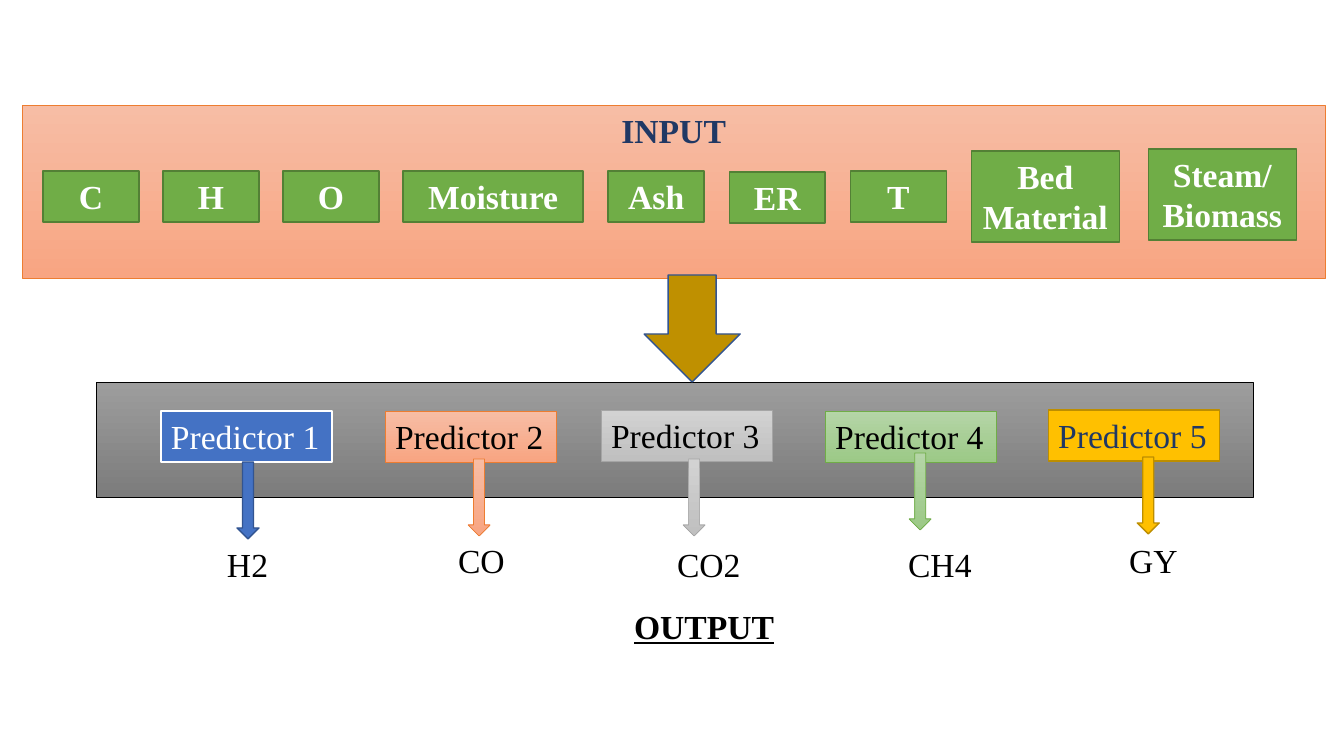
import pptx
import pptx.util
import pptx.dml.color
import pptx.enum.shapes
import pptx.enum.text

PIXEL = pptx.util.Inches(1) / 100.8
SHAPES = pptx.enum.shapes.MSO_SHAPE
ALIGN = pptx.enum.text.PP_ALIGN

THEME = {
    "font": "Times New Roman",
    "size": 24,
    "black": "000000",
    "white": "FFFFFF",
    "navy": "203864",
    "input panel": (("F7BDA5", "F8A582"), "ED7D31", 0.5),
    "predictor panel": (("9D9D9D", "7C7C7C"), "000000", 0.5),
    "feature": ("70AD47", "538035", 1),
    "flow": ("BF9000", "325491", 1),
    "blue box": ("4472C4", "FFFFFF", 1.5),
    "blue arrow": ("4472C4", "325491", 1),
    "orange": (("F7BDA5", "F8A582"), "ED7D31", 0.5),
    "gray": (("D2D2D2", "C0C0C0"), "A5A5A5", 0.5),
    "green": (("B5D5A7", "9CC987"), "70AD47", 0.5),
    "gold": ("FFC000", "BD8E00", 1),
}

FEATURES = [
    ("C", (43, 171, 96, 51)),
    ("H", (163, 171, 96, 51)),
    ("O", (283, 171, 96, 51)),
    ("Moisture", (403, 171, 180, 51)),
    ("Ash", (608, 171, 96, 51)),
    ("ER", (729, 172, 96, 51)),
    ("T", (850, 171, 96, 51)),
    ("Bed\nMaterial", (971, 151, 148, 91)),
    ("Steam/\nBiomass", (1148, 149, 148, 91)),
]

PREDICTORS = [
    ("blue box", "blue arrow", "white", (161, 411), (237, 462), "H2", (217, 539, 61)),
    ("orange", "orange", "black", (385, 411), (468, 459), "CO", (448, 535, 68)),
    ("gray", "gray", "black", (601, 410), (683, 459), "CO2", (667, 539, 85)),
    ("green", "green", "black", (825, 411), (909, 453), "CH4", (898, 539, 85)),
    ("gold", "gold", "navy", (1048, 410), (1137, 457), "GY", (1119, 535, 70)),
]
PREDICTOR_SIZE = (171, 51)
ARROW_SIZE = (22, 77)
LABEL_HEIGHT = 51


def rgb(value):
    return pptx.dml.color.RGBColor.from_string(value)


def emu(box):
    return [round(length * PIXEL) for length in box]


def write(shape, text, color="black", align=ALIGN.LEFT, wrap=True, **formats):
    frame = shape.text_frame
    frame.word_wrap = wrap
    frame.vertical_anchor = pptx.enum.text.MSO_ANCHOR.TOP
    frame.text = text
    formats = {"name": THEME["font"], "size": pptx.util.Pt(THEME["size"]), **formats}
    for paragraph in frame.paragraphs:
        paragraph.alignment = align
        for run in paragraph.runs:
            run.font.color.rgb = rgb(THEME[color])
            for name, value in formats.items():
                setattr(run.font, name, value)


def add_shape(kind, box, style):
    fill, line, width = THEME[style]
    shape = slide.shapes.add_shape(kind, *emu(box))
    shape.shadow.inherit = False
    if isinstance(fill, tuple):
        shape.fill.gradient()
        shape.fill.gradient_angle = 270
        for stop, color in zip(shape.fill.gradient_stops, fill):
            stop.color.rgb = rgb(color)
    else:
        shape.fill.solid()
        shape.fill.fore_color.rgb = rgb(fill)
    shape.line.color.rgb = rgb(line)
    shape.line.width = pptx.util.Pt(width)
    return shape


def add_label(text, box, **formats):
    write(slide.shapes.add_textbox(*emu(box)), text, wrap=False, **formats)


presentation = pptx.Presentation()
presentation.slide_width = pptx.util.Inches(13.33)
presentation.slide_height = pptx.util.Inches(7.5)
slide = presentation.slides.add_slide(presentation.slide_layouts[6])

input_panel = add_shape(SHAPES.RECTANGLE, (22, 105, 1303, 173), "input panel")
write(input_panel, "INPUT", "navy", ALIGN.CENTER, bold=True)
for name, box in FEATURES:
    feature = add_shape(SHAPES.RECTANGLE, box, "feature")
    write(feature, name, "white", ALIGN.CENTER, bold=True)

add_shape(SHAPES.RECTANGLE, (96, 382, 1157, 115), "predictor panel")
add_shape(SHAPES.DOWN_ARROW, (644, 275, 96, 107), "flow")
for number, row in enumerate(PREDICTORS, 1):
    box_style, arrow_style, color, box_start, arrow_start, gas, label = row
    predictor = add_shape(SHAPES.RECTANGLE, box_start + PREDICTOR_SIZE, box_style)
    write(predictor, f"Predictor {number}", color, wrap=False)
    add_shape(SHAPES.DOWN_ARROW, arrow_start + ARROW_SIZE, arrow_style)
    add_label(gas, label + (LABEL_HEIGHT,))
add_label("OUTPUT", (624, 601, 161, LABEL_HEIGHT), bold=True, underline=True)

presentation.save("out.pptx")
